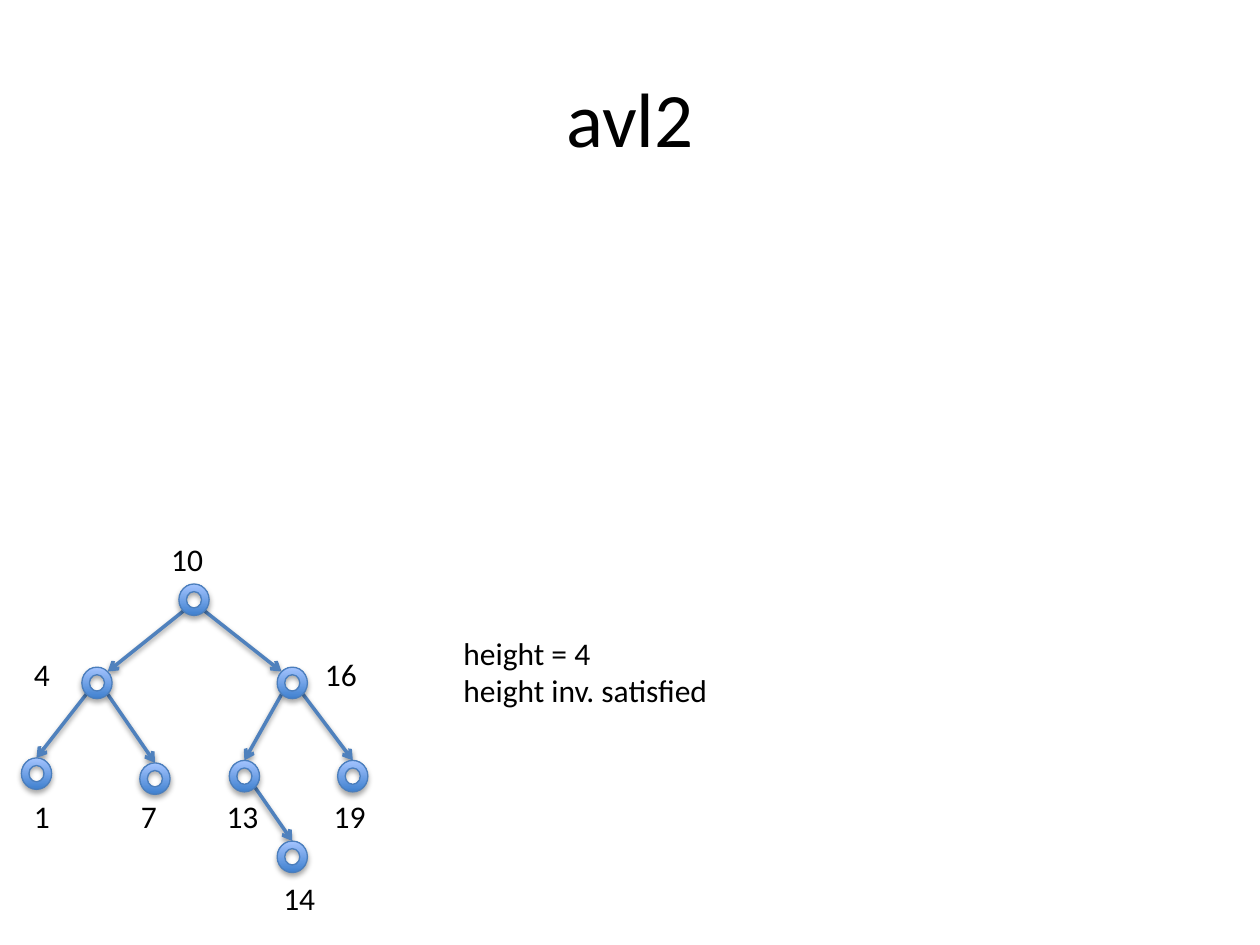
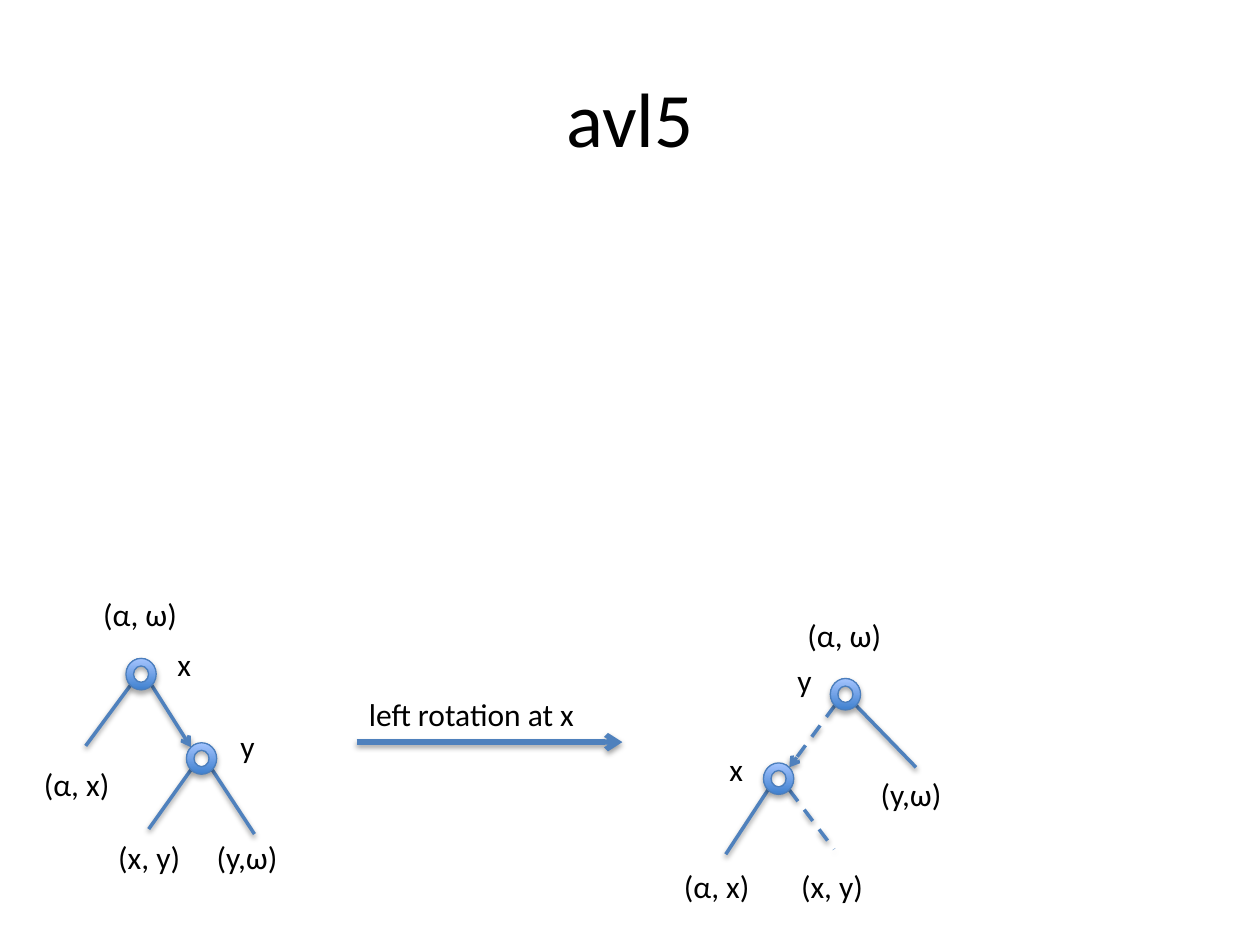
from lxml.etree import SubElement as Sub
from pptx import Presentation
from pptx.dml.color import RGBColor
from pptx.enum.dml import MSO_LINE as Dash
from pptx.enum.shapes import MSO_CONNECTOR as Link, MSO_SHAPE as Shape
from pptx.enum.text import MSO_ANCHOR as Anchor, MSO_AUTO_SIZE as Fit, PP_ALIGN as Align
from pptx.oxml.ns import qn
from pptx.util import Inches, Pt

FONT, INK, EDGE, RIM = "Calibri", "000000", "4F81BD", "4B7EBC"
FADE = ["3F80CE", "A4C4FF"]
RING_W, RING_H = 0.24, 0.25
DX, DY = 0.085, 0.09
LINE_H = 0.4

SLIDES = [
    {
        "title": "avl2",
        "nodes": {
            "10": (1.54, 4.76), "4": (0.77, 5.42), "16": (2.32, 5.42),
            "1": (0.29, 6.14), "7": (1.23, 6.18), "13": (1.94, 6.16),
            "19": (2.8, 6.16), "14": (2.32, 6.8),
        },
        "edges": [
            ("10", "4", "side"), ("10", "16", "side"),
            ("4", "1", "top"), ("4", "7", "top"),
            ("16", "13", "top"), ("16", "19", "top"), ("13", "14", "top"),
        ],
        "stubs": [],
        "arrows": [],
        "labels": [
            ("10", 1.26, 4.24, 0.46), ("4", 0.17, 5.15, 0.33),
            ("16", 2.48, 5.15, 0.46), ("1", 0.17, 6.28, 0.33),
            ("7", 1.02, 6.28, 0.33), ("13", 1.7, 6.28, 0.46),
            ("19", 2.55, 6.28, 0.46), ("14", 2.15, 6.93, 0.46),
            ("height = 4\nheight inv. satisfied", 3.58, 4.98, 2.16),
        ],
    },
    {
        "title": "avl5",
        "nodes": {
            "x old": (1.12, 5.35), "y old": (1.6, 6.02),
            "y new": (6.71, 5.51), "x new": (6.18, 6.18),
        },
        "edges": [("x old", "y old", "side"), ("y new", "x new", "side", True)],
        "stubs": [
            ("x old", (0.68, 5.92)), ("y old", (1.18, 6.58)),
            ("y old", (2.02, 6.62)), ("y new", (7.27, 6.09)),
            ("x new", (5.76, 6.78)), ("x new", (6.62, 6.74), True),
        ],
        "arrows": [((2.83, 5.89), (4.94, 5.89))],
        "labels": [
            ("(α, ω)", 0.72, 4.67, 0.79), ("x", 1.31, 5.07, 0.31),
            ("y", 1.81, 5.72, 0.32), ("(α, x)", 0.25, 6.02, 0.73),
            ("(x, y)", 0.84, 6.6, 0.7), ("(y,ω)", 1.62, 6.6, 0.75),
            ("left rotation at x", 2.83, 5.47, 1.9),
            ("(α, ω)", 6.31, 4.84, 0.79), ("y", 6.23, 5.2, 0.32),
            ("x", 5.69, 5.9, 0.31), ("(y,ω)", 6.89, 6.1, 0.75),
            ("(α, x)", 5.33, 6.83, 0.73), ("(x, y)", 6.26, 6.83, 0.7),
        ],
    },
]


def color(code):
    return RGBColor.from_string(code)


def shade(props, dist, alpha):
    for old in props.findall(qn("a:effectLst")):
        props.remove(old)
    drop = Sub(Sub(props, qn("a:effectLst")), qn("a:outerShdw"),
               blurRad=str(Pt(3.1)), dist=str(Pt(dist)), dir="5400000", rotWithShape="0")
    tint = Sub(drop, qn("a:srgbClr"), val=INK)
    Sub(tint, qn("a:alpha"), val=str(alpha * 1000))


def write(slide, text, left, top, width, height, size=18, align=Align.LEFT,
          anchor=Anchor.TOP, wrap=False):
    box = slide.shapes.add_textbox(*map(Inches, (left, top, width, height)))
    frame = box.text_frame
    frame.word_wrap = wrap
    frame.auto_size = Fit.NONE if wrap else Fit.SHAPE_TO_FIT_TEXT
    frame.vertical_anchor = anchor
    frame.text = text
    for para in frame.paragraphs:
        para.alignment = align
        para.font.name, para.font.size = FONT, Pt(size)
        para.font.color.rgb = color(INK)


def draw(slide, start, end, head=False, dash=False, width=2):
    link = slide.shapes.add_connector(Link.STRAIGHT, *map(Inches, (*start, *end)))
    link.line.color.rgb = color(EDGE)
    link.line.width = Pt(width)
    if dash:
        link.line.dash_style = Dash.DASH
    if head:
        Sub(link.line._get_or_add_ln(), qn("a:tailEnd"), type="arrow")
    shade(link._element.spPr, 1.6, 38)


def ring(slide, x, y):
    node = slide.shapes.add_shape(Shape.DONUT, *map(Inches, (
        x - RING_W / 2, y - RING_H / 2, RING_W, RING_H)))
    node.fill.gradient()
    node.fill.gradient_angle = 90
    for stop, code in zip(node.fill.gradient_stops, FADE):
        stop.color.rgb = color(code)
    node.line.color.rgb = color(RIM)
    node.line.width = Pt(0.75)
    node.shadow.inherit = False
    shade(node._element.spPr, 1.8, 35)


def leave(node, goal):
    side = 1 if goal[0] > node[0] else -1
    return (node[0] + side * DX, node[1] + DY), side


def build(deck, data):
    slide = deck.slides.add_slide(deck.slide_layouts[6])
    nodes = data["nodes"]
    for parent, child, port, *dash in data["edges"]:
        x, y = nodes[child]
        start, side = leave(nodes[parent], (x, y))
        end = (x, y - RING_H / 2) if port == "top" else (x - side * DX, y - DY)
        draw(slide, start, end, head=True, dash=bool(dash))
    for parent, end, *dash in data["stubs"]:
        start, side = leave(nodes[parent], end)
        draw(slide, start, end, dash=bool(dash))
    for start, end in data["arrows"]:
        draw(slide, start, end, head=True, width=3)
    for x, y in nodes.values():
        ring(slide, x, y)
    for text, left, top, width in data["labels"]:
        write(slide, text, left, top, width, 0.71 if "\n" in text else LINE_H)
    write(slide, data["title"], 0.5, 0.3, 9, 1.25, size=44, align=Align.CENTER,
          anchor=Anchor.MIDDLE, wrap=True)


def main():
    deck = Presentation()
    deck.slide_width, deck.slide_height = Inches(10), Inches(7.5)
    for data in SLIDES:
        build(deck, data)
    deck.save("out.pptx")


if __name__ == "__main__":
    main()
